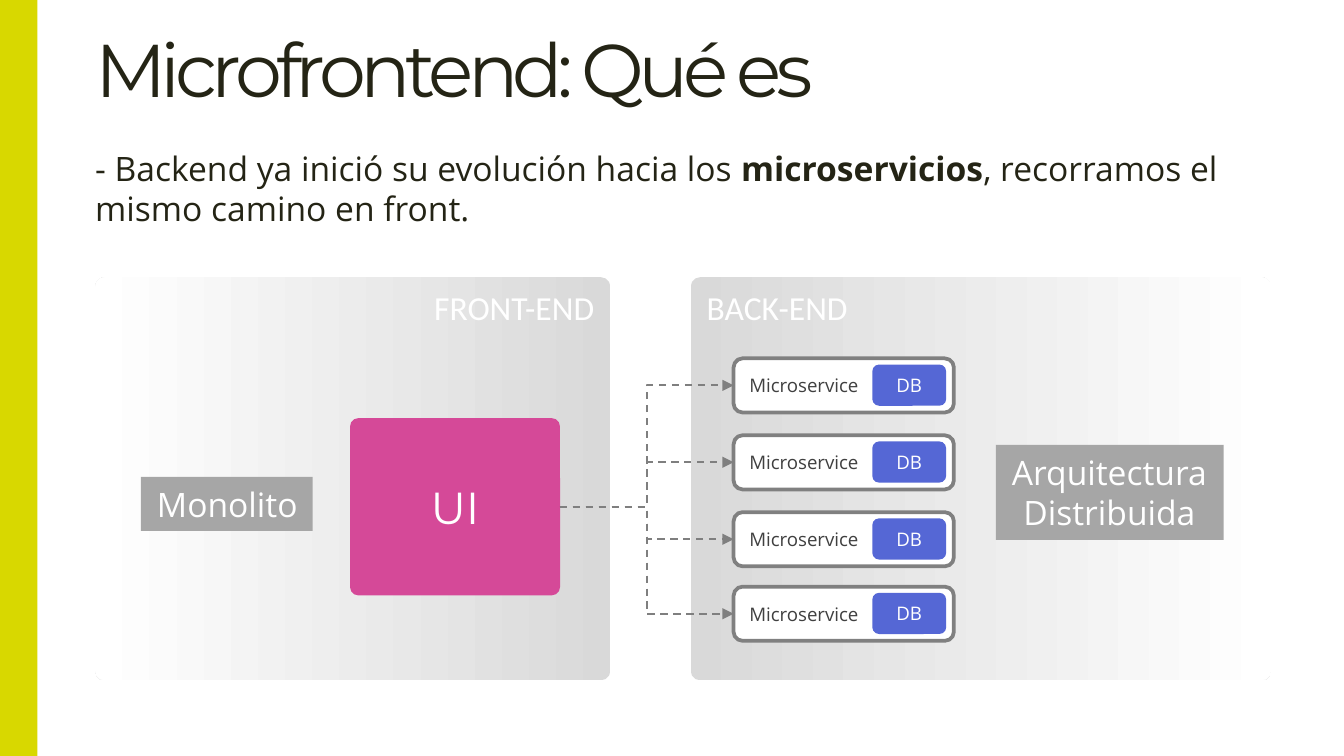
from dataclasses import dataclass

from lxml import etree
from pptx import Presentation
from pptx.dml.color import RGBColor
from pptx.enum import dml, shapes, text
from pptx.oxml.ns import qn
from pptx.util import Pt

ROUND = shapes.MSO_SHAPE.ROUNDED_RECTANGLE
RECT = shapes.MSO_SHAPE.RECTANGLE
TOP, MIDDLE, BOTTOM = (text.MSO_ANCHOR.TOP, text.MSO_ANCHOR.MIDDLE,
                       text.MSO_ANCHOR.BOTTOM)
LEFT, CENTER, RIGHT = text.PP_ALIGN.LEFT, text.PP_ALIGN.CENTER, text.PP_ALIGN.RIGHT
LEFT_SIDE, RIGHT_SIDE = 1, 3  # connection sites of a rectangle


@dataclass(frozen=True)
class Theme:
    white: str = "FFFFFF"
    ink: str = "242415"
    accent: str = "D8D800"
    panel: str = "D9D9D9"
    label: str = "A6A6A6"
    border: str = "808080"
    arrow: str = "7F7F7F"
    service: str = "404040"
    database: str = "5567D5"
    ui: str = "D54998"
    heading_font: str = "Montserrat"
    body_font: str = "Open Sans"
    panel_font: str = "Calibri"
    title_size: int = 40
    ui_size: int = 24
    body_size: int = 18
    small_size: int = 10


class Deck:
    def __init__(self, slide, theme):
        self.slide, self.theme = slide, theme

    def set_text(self, shape, lines, size, color, font=None, align=LEFT,
                 anchor=MIDDLE, inset=7.2, wrap=True, grow=False):
        """Fill a shape; each line is a list of (words, bold) runs or a string."""
        frame = shape.text_frame
        frame.word_wrap = wrap
        frame.vertical_anchor = anchor
        frame.margin_left = Pt(inset)
        if grow:
            frame.auto_size = text.MSO_AUTO_SIZE.SHAPE_TO_FIT_TEXT
        for i, line in enumerate(lines):
            paragraph = frame.paragraphs[0] if i == 0 else frame.add_paragraph()
            paragraph.alignment = align
            paragraph.font.size = Pt(size)
            paragraph.font.name = font or self.theme.body_font
            paragraph.font.color.rgb = RGBColor.from_string(color)
            for words, bold in [(line, None)] if isinstance(line, str) else line:
                run = paragraph.add_run()
                run.text = words
                run.font.bold = bold

    def text_box(self, box, lines, size, color, **style):
        shape = self.slide.shapes.add_textbox(*map(Pt, box))
        self.set_text(shape, lines, size, color, inset=0, **style)
        return shape

    def block(self, kind, box, fill, border=None, corner=None, parent=None):
        shape = (parent or self.slide).shapes.add_shape(kind, *map(Pt, box))
        shape.shadow.inherit = False
        shape.fill.solid()
        shape.fill.fore_color.rgb = RGBColor.from_string(fill)
        if border:
            shape.line.color.rgb = RGBColor.from_string(border)
            shape.line.width = Pt(2)
        else:
            shape.line.fill.background()
        if corner is not None:
            shape.adjustments[0] = corner
        return shape

    def panel(self, box, name, angle, align):
        """Draw a panel that fades to white along the angle."""
        t = self.theme
        shape = self.block(ROUND, box, t.panel, corner=0.024)
        shape.fill.gradient()
        shape.fill.gradient_angle = angle
        for stop, color in zip(shape.fill.gradient_stops, (t.panel, t.white)):
            stop.color.rgb = RGBColor.from_string(color)
        self.set_text(shape, [name], t.body_size, t.white, t.panel_font, align, TOP)

    def label(self, box, lines, aligns):
        t = self.theme
        shape = self.block(RECT, box, t.label)
        self.set_text(shape, lines, t.body_size, t.white, anchor=TOP, inset=8.64,
                      wrap=False, grow=True)
        for paragraph, align in zip(shape.text_frame.paragraphs, aligns):
            paragraph.alignment = align

    def microservice(self, left, top):
        t = self.theme
        group = self.slide.shapes.add_group_shape()
        service = self.block(ROUND, (left, top, 118, 29), t.white, t.border,
                             parent=group)
        self.set_text(service, ["Microservice"], t.small_size, t.service)
        database = self.block(ROUND, (left + 74.3, top + 3.3, 39.6, 22.1),
                              t.database, parent=group)
        self.set_text(database, ["DB"], t.small_size, t.white, align=CENTER)
        return service

    def arrow(self, source, target):
        line = self.slide.shapes.add_connector(
            shapes.MSO_CONNECTOR.ELBOW, 0, 0, 0, 0)
        line.begin_connect(source, RIGHT_SIDE)
        line.end_connect(target, LEFT_SIDE)
        line.line.color.rgb = RGBColor.from_string(self.theme.arrow)
        line.line.width = Pt(1)
        line.line.dash_style = dml.MSO_LINE.DASH
        properties = line._element.spPr
        etree.SubElement(properties.find(qn("a:ln")), qn("a:tailEnd"), type="triangle")
        etree.SubElement(properties, qn("a:effectLst"))


def main():
    presentation = Presentation()
    presentation.slide_width, presentation.slide_height = Pt(720), Pt(405)
    t = Theme()
    deck = Deck(presentation.slides.add_slide(presentation.slide_layouts[6]), t)

    deck.panel((51, 148.5, 276, 216), "FRONT-END", 180, RIGHT)
    deck.panel((370, 148.5, 311, 216), "BACK-END", 0, LEFT)

    title = deck.text_box((51, 0, 649.5, 64), ["Microfrontend: Qué es"],
                          t.title_size, t.ink, font=t.heading_font, anchor=BOTTOM)
    for run in title.text_frame.paragraphs[0].runs:
        run.font._element.set("spc", "-300")
    deck.text_box((51, 75.6, 649.5, 51),
                  [[("- Backend ya inició su evolución hacia los ", None),
                    ("microservicios", True),
                    (", recorramos el mismo camino en front.", None)]],
                  t.body_size, t.ink, anchor=TOP, grow=True)
    deck.block(RECT, (0, 0, 20, 405), t.accent)

    services = [deck.microservice(393, top) for top in (192, 233.2, 274.4, 314.3)]

    ui = deck.block(ROUND, (187.5, 224, 112.5, 95), t.ui, corner=0.047)
    deck.set_text(ui, ["UI"], t.ui_size, t.white, t.heading_font, CENTER)

    deck.label((75.5, 255.5, 92, 29), ["Monolito"], [LEFT])
    deck.label((533.5, 238.3, 122, 51), ["Arquitectura", "Distribuida"],
               [LEFT, CENTER])

    for service in services:
        deck.arrow(ui, service)

    presentation.save("out.pptx")


if __name__ == "__main__":
    main()
